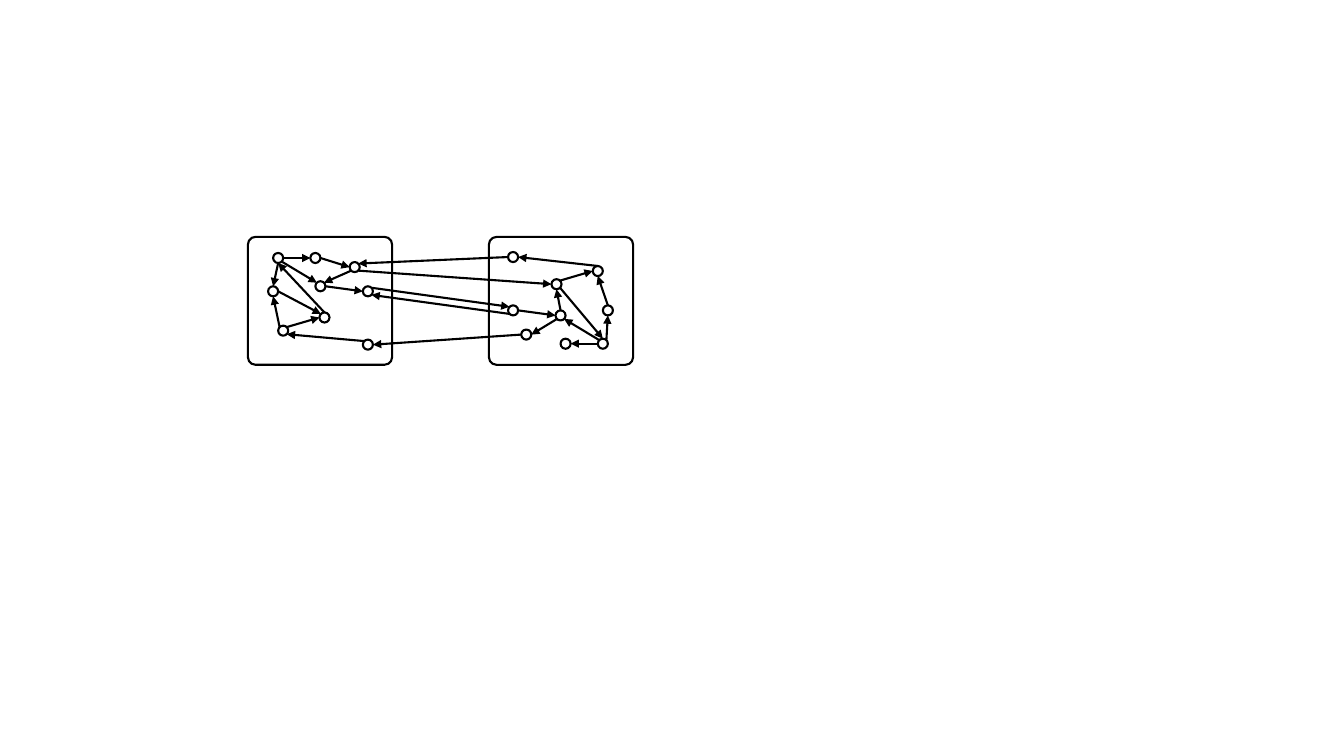
import math
import pptx
import pptx.dml.color
import pptx.enum.shapes
import pptx.oxml
import pptx.oxml.ns
import pptx.util

Pt = pptx.util.Pt
SHAPES = pptx.enum.shapes.MSO_SHAPE
INK = "000000"
LINE_WIDTH = 1.5
DIAMETER = 7.2
BOX_WIDTH, BOX_HEIGHT = 103, 91.4
BOX_TOP, LEFT_BOX, RIGHT_BOX = 169.2, 177.1, 349.2

# Node centres inside a box; the right box holds the same layout turned by 180 degrees
CENTRES = {
    "a": (21.6, 15.1), "b": (48.2, 15.1), "c": (51.8, 35.3),
    "d": (76.3, 21.6), "e": (85.7, 38.9), "f": (25.2, 67),
    "g": (54.7, 57.6), "h": (18, 38.9), "i": (85.7, 77),
}
# Angles of the attachment points on a node
ANGLES = {"E": 0, "SE": 45, "S": 90, "SW": 135, "W": 180, "NW": 225, "N": 270, "NE": 315}

# Arrows as "node side node side"; capitals name nodes of the right box
LEFT_ARROWS = [
    "a E b W", "a SE c NW", "g N a S", "a S h N", "i NW f SE", "f NE g W",
    "f NW h S", "h E g NW", "c E e W", "b E d W", "d SW c NE",
]
RIGHT_ARROWS = [
    "A W B E", "A NW C SE", "G SE A N", "G NE F W", "C N G S",
    "C SW D E", "E E C W", "A NE H S", "H N F S", "F N I E",
]
CROSS_ARROWS = ["e NE E NW", "E SW e SE", "d SE G W", "I W d NE", "D W i E"]


def color(value):
    return pptx.dml.color.RGBColor.from_string(value)


def add_outline(shapes, kind, left, top, width, height, rotation):
    shape = shapes.add_shape(kind, Pt(left), Pt(top), Pt(width), Pt(height))
    shape.rotation = rotation
    shape.shadow.inherit = False
    shape.fill.background()
    shape.line.color.rgb = color(INK)
    shape.line.width = Pt(LINE_WIDTH)
    return shape


def add_graph_box(shapes, left, top, turned=False):
    """Draw a box with its nodes and return the node centres by name."""
    rotation = 180 if turned else 0
    box = add_outline(shapes, SHAPES.ROUNDED_RECTANGLE, left, top, BOX_WIDTH, BOX_HEIGHT, rotation)
    box.adjustments[0] = 0.06
    nodes = {}
    for name, (x, y) in CENTRES.items():
        if turned:
            name, x, y = name.upper(), BOX_WIDTH - x, BOX_HEIGHT - y
        nodes[name] = (left + x, top + y)
        add_outline(shapes, SHAPES.OVAL, left + x - DIAMETER / 2, top + y - DIAMETER / 2,
                    DIAMETER, DIAMETER, rotation)
    return nodes


def rim_point(center, side):
    angle = math.radians(ANGLES[side])
    return (center[0] + DIAMETER / 2 * math.cos(angle),
            center[1] + DIAMETER / 2 * math.sin(angle))


def add_arrows(shapes, nodes, arrows):
    for arrow in arrows:
        source, source_side, target, target_side = arrow.split()
        ends = rim_point(nodes[source], source_side) + rim_point(nodes[target], target_side)
        connector = shapes.add_connector(pptx.enum.shapes.MSO_CONNECTOR.STRAIGHT, *map(Pt, ends))
        connector.line.color.rgb = color(INK)
        connector.line.width = Pt(LINE_WIDTH)
        # Arrowhead and no shadow
        properties = connector._element.spPr
        head = pptx.oxml.ns.qn("a:tailEnd")
        connector.line._get_or_add_ln().append(properties.makeelement(head, {"type": "triangle"}))
        properties.append(properties.makeelement(pptx.oxml.ns.qn("a:effectLst"), {}))


deck = pptx.Presentation()
deck.slide_width, deck.slide_height = Pt(960), Pt(540)
page = deck.slides.add_slide(deck.slide_layouts[6])
graph = page.shapes.add_group_shape().shapes

# Two boxes of nodes, then the arrows within and between them
nodes = add_graph_box(graph, LEFT_BOX, BOX_TOP)
nodes.update(add_graph_box(graph, RIGHT_BOX, BOX_TOP, turned=True))
add_arrows(graph, nodes, LEFT_ARROWS + RIGHT_ARROWS + CROSS_ARROWS)

deck.save("out.pptx")
